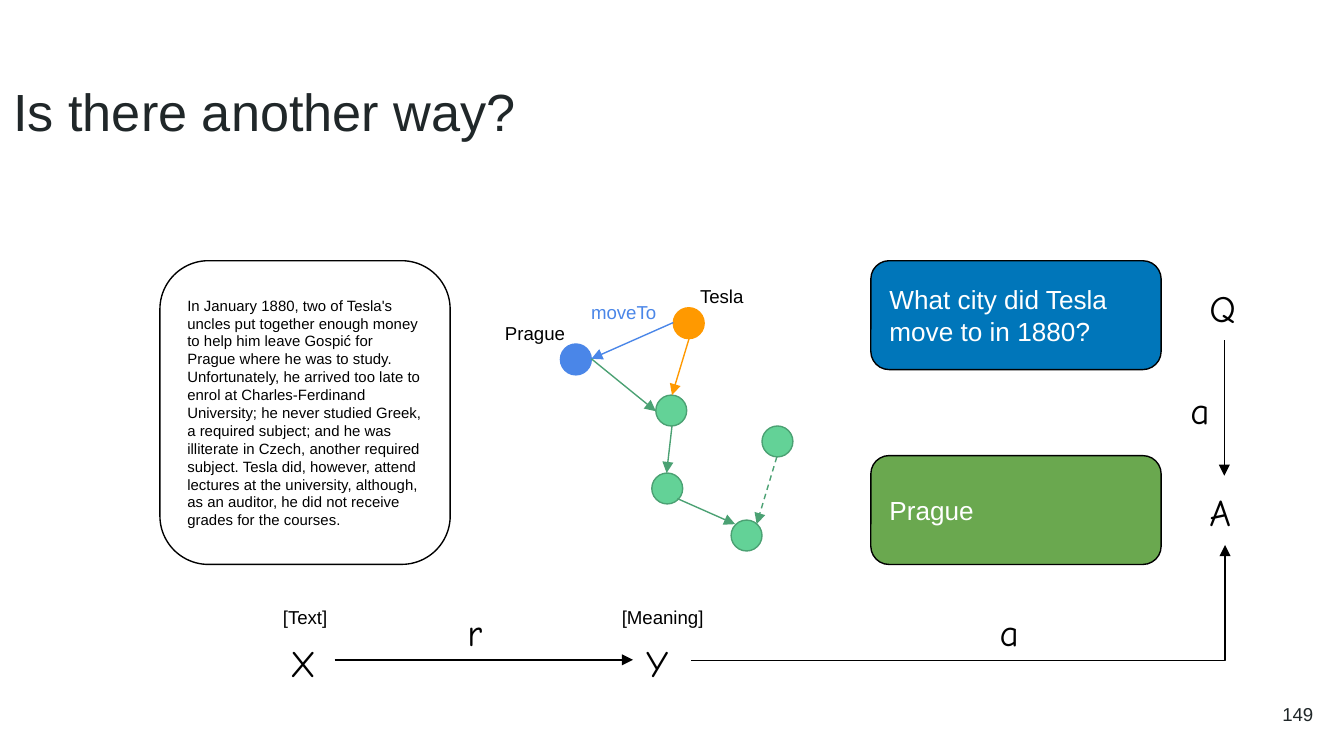
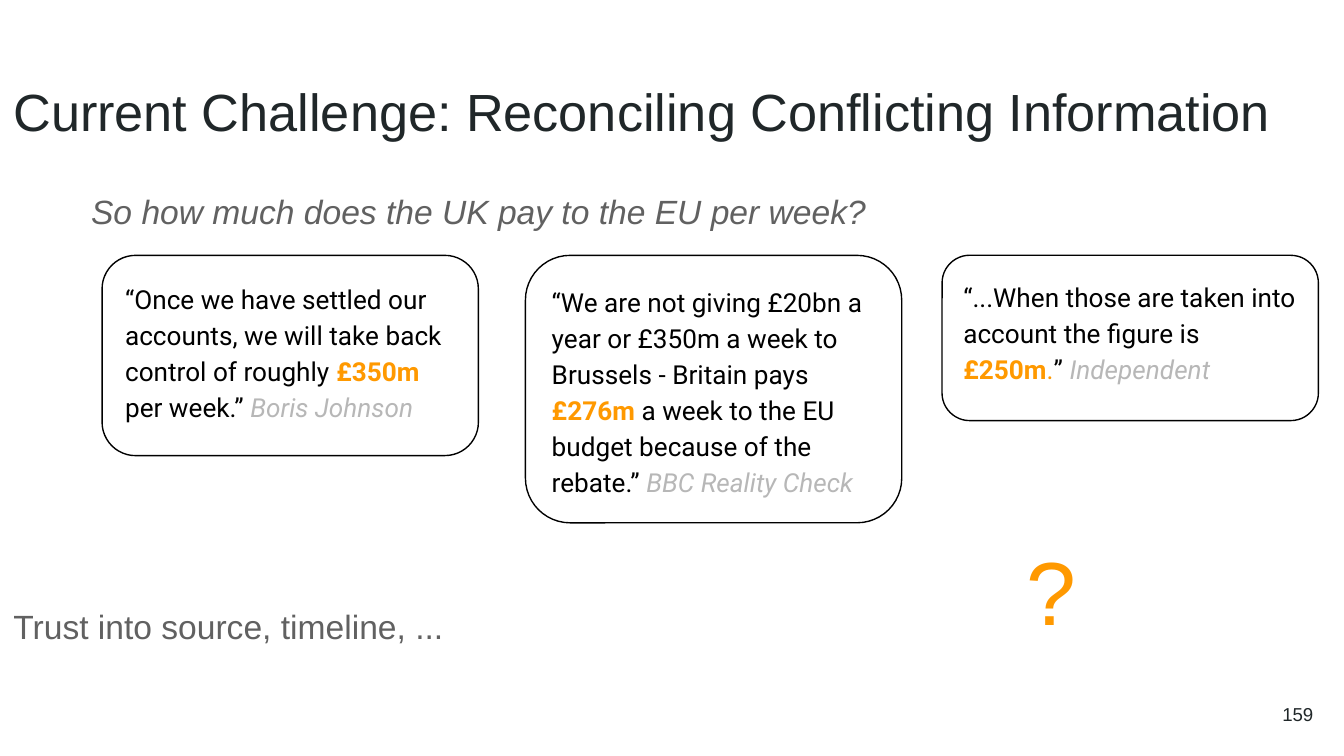
from pptx import Presentation
from pptx import util as u
from pptx.dml.color import RGBColor
from pptx.enum import dml, shapes, text
from pptx.oxml.ns import qn
from lxml import etree

INK, BLACK, WHITE, GREY, PALE = "202729", "000000", "FFFFFF", "616161", "B7B7B7"
BLUE, ORANGE, MINT, GREEN = "4A86E8", "FF9900", "63D297", "4BA173"
TOP, MID = text.MSO_ANCHOR.TOP, text.MSO_ANCHOR.MIDDLE
LEFT, CENTER, RIGHT = text.PP_ALIGN.LEFT, text.PP_ALIGN.CENTER, text.PP_ALIGN.RIGHT
WIDE = 10
HIGH = WIDE * 9 / 16


def color(hexa):
    return RGBColor.from_string(hexa)


def place(*nums):
    return [u.Inches(n) for n in nums]


def write(frame, runs, size=10, font="Arial", ink=BLACK, italic=False,
          align=LEFT, anchor=MID, lead=None, after=None):
    frame.word_wrap = True
    frame.auto_size = text.MSO_AUTO_SIZE.NONE
    frame.vertical_anchor = anchor
    frame.margin_left = frame.margin_right = u.Inches(0.1)
    frame.margin_top = frame.margin_bottom = u.Inches(0.1)
    para = frame.paragraphs[0]
    para.alignment = align
    para.space_before = u.Pt(0)
    if lead:
        para.line_spacing = lead
    if after:
        para.space_after = u.Pt(after)
    if isinstance(runs, str):
        runs = [(runs, {})]
    for words, look in runs:
        run = para.add_run()
        run.text = words
        face = run.font
        face.name, face.size = font, u.Pt(size)
        face.bold = look.get("bold", False)
        face.italic = look.get("italic", italic)
        face.color.rgb = color(look.get("ink", ink))


class Deck:
    def __init__(self):
        self.file = Presentation()
        self.file.slide_width, self.file.slide_height = place(WIDE, HIGH)
        self.slide = None

    def page(self, title, number, width, layout=5):
        self.slide = self.file.slides.add_slide(self.file.slide_layouts[layout])
        self.holder(self.slide.shapes.title, (0, 0.49, width, 0.63), title,
                    size=28, ink=INK)
        self.label(number, 9.27, 5.1, 0.6, 0.43, ink=INK, align=RIGHT)

    def holder(self, shape, spot, words, **look):
        shape.left, shape.top, shape.width, shape.height = place(*spot)
        write(shape.text_frame, words, anchor=TOP, **look)

    def body(self, words, spot, **look):
        shape = self.slide.placeholders[1]
        props = shape.text_frame.paragraphs[0]._p.get_or_add_pPr()
        props.set("marL", "0")
        props.set("indent", "0")
        etree.SubElement(props, qn("a:buNone"))
        self.holder(shape, spot, words, **look)

    def label(self, words, x, y, w, h, **look):
        box = self.slide.shapes.add_textbox(*place(x, y, w, h))
        write(box.text_frame, words, **look)

    def sign(self, words, x, y):
        self.label(words, x, y, 0.43, 0.51, size=20, font="Comic Neue", anchor=TOP)

    def shape(self, kind, spot, fill=None, line=BLACK):
        item = self.slide.shapes.add_shape(kind, *place(*spot))
        item.shadow.inherit = False
        if fill:
            item.fill.solid()
            item.fill.fore_color.rgb = color(fill)
        else:
            item.fill.background()
        item.line.color.rgb = color(line)
        item.line.width = u.Pt(0.75)
        return item

    def card(self, words, spot, fill=None, **look):
        item = self.shape(shapes.MSO_SHAPE.ROUNDED_RECTANGLE, spot, fill)
        item.adjustments[0] = 0.167
        write(item.text_frame, words, **look)

    def node(self, x, y, fill=MINT, line=GREEN):
        self.shape(shapes.MSO_SHAPE.OVAL, (x, y, 0.23, 0.23), fill, line)

    def arrow(self, start, end, ink=BLACK, dash=False, bent=False):
        kind = shapes.MSO_CONNECTOR.ELBOW if bent else shapes.MSO_CONNECTOR.STRAIGHT
        link = self.slide.shapes.add_connector(kind, *place(*start, *end))
        link.line.color.rgb = color(ink)
        link.line.width = u.Pt(0.75)
        if dash:
            link.line.dash_style = dml.MSO_LINE.DASH
        props = link._element.spPr
        tip = "a:headEnd" if bent else "a:tailEnd"
        etree.SubElement(props.find(qn("a:ln")), qn(tip), type="triangle")
        etree.SubElement(props, qn("a:effectLst"))
        if bent:
            props.find(qn("a:xfrm")).set("rot", "5400000")
            props.find(qn("a:prstGeom")).set("prst", "bentConnector2")


def graph(deck):
    deck.page("Is there another way?", "149", 9.32)
    for words, x in (("[Text]", 1.68), ("[Meaning]", 4.34)):
        deck.label(words, x, 4.43, 1.18, 0.33, align=CENTER)

    deck.node(4.17, 2.56, BLUE, BLUE)
    deck.node(5.01, 2.29, ORANGE, ORANGE)
    for x, y in ((4.85, 3.52), (4.88, 2.94), (5.44, 3.87), (5.67, 3.17)):
        deck.node(x, y)
    for start, end, ink in (
        ((5.01, 2.4), (4.4, 2.67), BLUE),
        ((4.4, 2.67), (4.88, 3.06), GREEN),
        ((5.13, 2.51), (5, 2.94), ORANGE),
        ((5, 3.17), (4.96, 3.52), GREEN),
        ((5.04, 3.71), (5.47, 3.9), GREEN),
    ):
        deck.arrow(start, end, ink)
    deck.arrow((5.78, 3.4), (5.63, 3.9), GREEN, dash=True)
    for words, x, y, ink in (
        ("Prague", 3.57, 2.31, BLACK),
        ("Tesla", 4.96, 2.04, BLACK),
        ("moveTo", 4.23, 2.16, BLUE),
    ):
        deck.label(words, x, y, 0.82, 0.33, ink=ink, align=CENTER)

    for words, y, fill in (
        ("What city did Tesla move to in 1880?", 1.94, "0076BA"),
        ("Prague", 3.39, "6AA84F"),
    ):
        deck.card(words, (6.48, y, 2.16, 0.81), fill, size=14, ink=WHITE)

    for words, x, y in (
        ("X", 2.06, 4.66), ("Y", 4.71, 4.66), ("r", 3.38, 4.43), ("a", 7.34, 4.43),
        ("Q", 8.9, 2.02), ("A", 8.9, 3.54), ("a", 8.76, 2.78),
    ):
        deck.sign(words, x, y)
    deck.arrow((2.49, 4.91), (4.71, 4.91))
    deck.arrow((9.11, 2.53), (9.11, 3.54))
    deck.arrow((6.7, 2.5), (7.56, 6.47), bent=True)

    deck.card(
        "In January 1880, two of Tesla's uncles put together enough money to help "
        "him leave Gospić for Prague where he was to study. Unfortunately, he "
        "arrived too late to enrol at Charles-Ferdinand University; he never "
        "studied Greek, a required subject; and he was illiterate in Czech, "
        "another required subject. Tesla did, however, attend lectures at the "
        "university, although, as an auditor, he did not receive grades for the "
        "courses.", (1.19, 1.94, 2.16, 2.26), WHITE, size=8)


def quotes(deck):
    deck.page("Current Challenge: Reconciling Conflicting Information", "159", 9.81, 1)
    para = dict(lead=1.15, after=16)
    deck.body("Trust into source, timeline, ...", (0, 4.36, 6.58, 0.63),
              size=18, ink=GREY, **para)

    plain, hue = {}, {"ink": ORANGE}
    key = {"ink": ORANGE, "bold": True}
    by = {"ink": PALE, "italic": True}
    for x, high, runs in (
        (0.76, 1.49, [
            ("“Once we have settled our accounts, we will take back control of "
             "roughly ", plain),
            ("£350m", key), (" per week.” ", plain), ("Boris Johnson", by)]),
        (7.01, 1.23, [
            ("“...When those are taken into account the figure is ", plain),
            ("£250m", key), (".", hue), ("” ", plain), ("Independent", by)]),
        (3.91, 1.99, [
            ("“We are not giving £20bn a year or £350m a week to Brussels - "
             "Britain pays ", plain),
            ("£276m ", key),
            ("a week to the EU budget because of the rebate.” ", plain),
            ("BBC Reality Check", by)]),
    ):
        deck.card(runs, (x, 1.9, 2.8, high), size=14, font="Roboto",
                  anchor=TOP, lead=1.15)

    deck.label("?", 7.54, 3.92, 0.73, 0.82, size=48, ink=ORANGE, **para)
    deck.label("So how much does the UK pay to the EU per week?",
               0.58, 1.3, 6.43, 0.5, size=18, ink=GREY, italic=True, **para)


def main():
    deck = Deck()
    graph(deck)
    quotes(deck)
    deck.file.save("out.pptx")


if __name__ == "__main__":
    main()
